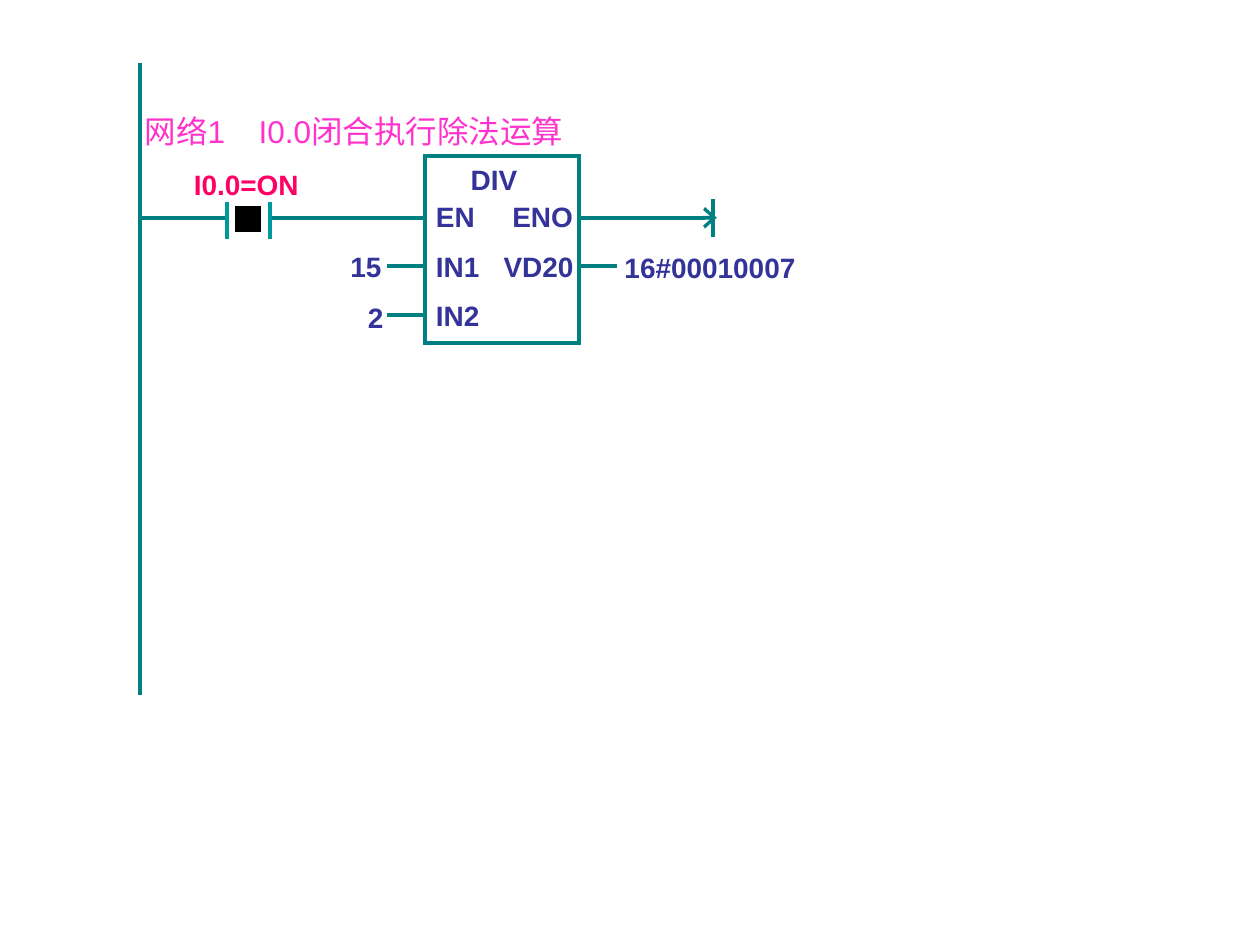
import pptx
import pptx.dml.color
import pptx.enum.shapes
import pptx.enum.text
import pptx.oxml
import pptx.oxml.ns
import pptx.util
from pptx.util import Cm

COLORS = {"wire": "008080", "contact": "009999", "label": "333399",
          "state": "FF0066", "heading": "FF33CC", "marker": "000000"}

HEADING = "网络1\tI0.0闭合执行除法运算"
HEADING_TAB = 2.3

# Lengths in cm. Rungs are the heights of EN, IN1 and IN2.
RUNG_TOP, RUNG_GAP = 4.39, 0.98
RUNGS = [RUNG_TOP + i * RUNG_GAP for i in range(3)]
BLOCK_LEFT, BLOCK_TOP, BLOCK_WIDTH, BLOCK_HEIGHT = 8.56, 3.15, 3.12, 3.76
BLOCK_RIGHT = BLOCK_LEFT + BLOCK_WIDTH
STUB = 0.75
RAIL_X, RAIL_TOP, RAIL_BOTTOM = 2.82, 1.27, 14.02
CONTACT_XS = (4.57, 5.44)
END_BAR_X, BAR_HALF = 14.38, 0.38
LABEL_HEIGHT = 0.94
WIRE_WIDTH = 2.25

# text, left, top, width, alignment, colour
LABELS = [
    ("DIV", 9.24, 3.15, 1.45, "l", "label"),
    ("EN", 8.54, 3.89, 1.3, "l", "label"),
    ("ENO", 10.08, 3.89, 1.73, "l", "label"),
    ("IN1", 8.54, 4.9, 1.37, "l", "label"),
    ("VD20", 9.91, 4.9, 1.9, "r", "label"),
    ("IN2", 8.54, 5.89, 1.37, "l", "label"),
    ("15", 6.82, 4.9, 1.12, "r", "label"),
    ("2", 7.17, 5.93, 0.81, "r", "label"),
    ("16#00010007", 12.34, 4.93, 3.94, "l", "label"),
    ("I0.0=ON", 3.66, 3.25, 2.62, "l", "state"),
]


def rgb(name):
    return pptx.dml.color.RGBColor.from_string(COLORS[name])


def write(sp, text, size=16, bold=True, color="label", align="l", tab=None):
    """Put one unwrapped line in sp, with no inset on the side away from its alignment."""
    tf = sp.text_frame
    tf.word_wrap = False
    tf.auto_size = pptx.enum.text.MSO_AUTO_SIZE.NONE
    tf.vertical_anchor = pptx.enum.text.MSO_ANCHOR.TOP
    p = tf.paragraphs[0]
    if tab:
        tabs = pptx.oxml.parse_xml(
            f'<a:tabLst {pptx.oxml.ns.nsdecls("a")}>'
            f'<a:tab pos="{Cm(tab)}" algn="l"/></a:tabLst>')
        p._p.get_or_add_pPr().append(tabs)
    if align == "r":
        p.alignment = pptx.enum.text.PP_ALIGN.RIGHT
        tf.margin_left = 0
    else:
        p.alignment = pptx.enum.text.PP_ALIGN.LEFT
        tf.margin_right = 0
    p.line_spacing = 1.0
    p.space_before = pptx.util.Pt(0)
    r = p.add_run()
    r.text = text
    r.font.name = "Arial"
    r.font.size = pptx.util.Pt(size)
    r.font.bold = bold
    r.font.color.rgb = rgb(color)


def add_line(s, x1, y1, x2, y2, color="wire", arrow=False):
    line = s.shapes.add_connector(
        pptx.enum.shapes.MSO_CONNECTOR.STRAIGHT, Cm(x1), Cm(y1), Cm(x2), Cm(y2))
    line.line.color.rgb = rgb(color)
    line.line.width = pptx.util.Pt(WIRE_WIDTH)
    ns = pptx.oxml.ns.nsdecls("a")
    if arrow:
        line.line._get_or_add_ln().append(
            pptx.oxml.parse_xml(f'<a:tailEnd {ns} type="arrow" w="lg" len="med"/>'))
    line._element.spPr.append(pptx.oxml.parse_xml(f"<a:effectLst {ns}/>"))


def add_rect(s, x, y, w, h, line, width, fill=None):
    sp = s.shapes.add_shape(pptx.enum.shapes.MSO_SHAPE.RECTANGLE,
                            Cm(x), Cm(y), Cm(w), Cm(h))
    sp.shadow.inherit = False
    sp.line.color.rgb = rgb(line)
    sp.line.width = pptx.util.Pt(width)
    sp.line._get_or_add_ln().append(pptx.oxml.parse_xml(
        f'<a:miter {pptx.oxml.ns.nsdecls("a")} lim="800000"/>'))
    if fill:
        sp.fill.solid()
        sp.fill.fore_color.rgb = rgb(fill)
    else:
        sp.fill.background()


def main():
    prs = pptx.Presentation()
    prs.slide_width, prs.slide_height = Cm(25.4), Cm(19.05)
    s = prs.slides.add_slide(prs.slide_layouts.get_by_name("Title Only"))

    title = s.shapes.title
    title.left, title.top = Cm(2.66), Cm(2.13)
    title.width, title.height = Cm(9.2), Cm(1.02)
    write(title, HEADING, size=18, bold=False, color="heading", tab=HEADING_TAB)

    add_rect(s, BLOCK_LEFT, BLOCK_TOP, BLOCK_WIDTH, BLOCK_HEIGHT, "wire", WIRE_WIDTH)
    for y in RUNGS:
        add_line(s, BLOCK_LEFT - STUB, y, BLOCK_LEFT, y)
    for y in RUNGS[:2]:
        add_line(s, BLOCK_RIGHT, y, BLOCK_RIGHT + STUB, y)

    add_line(s, RAIL_X, RAIL_TOP, RAIL_X, RAIL_BOTTOM)
    add_line(s, RAIL_X, RUNG_TOP, CONTACT_XS[0], RUNG_TOP)
    add_line(s, CONTACT_XS[1], RUNG_TOP, BLOCK_LEFT - STUB, RUNG_TOP)
    for x in CONTACT_XS:
        add_line(s, x, 4.07, x, 4.82, color="contact")
    add_rect(s, 4.75, 4.17, 0.5, 0.5, "marker", 0.75, fill="marker")

    add_line(s, BLOCK_RIGHT + STUB, RUNG_TOP, 14.45, RUNG_TOP, arrow=True)
    add_line(s, END_BAR_X, RUNG_TOP - BAR_HALF, END_BAR_X, RUNG_TOP + BAR_HALF)

    for text, x, y, w, align, color in LABELS:
        box = s.shapes.add_textbox(Cm(x), Cm(y), Cm(w), Cm(LABEL_HEIGHT))
        write(box, text, align=align, color=color)

    prs.save("out.pptx")


if __name__ == "__main__":
    main()
